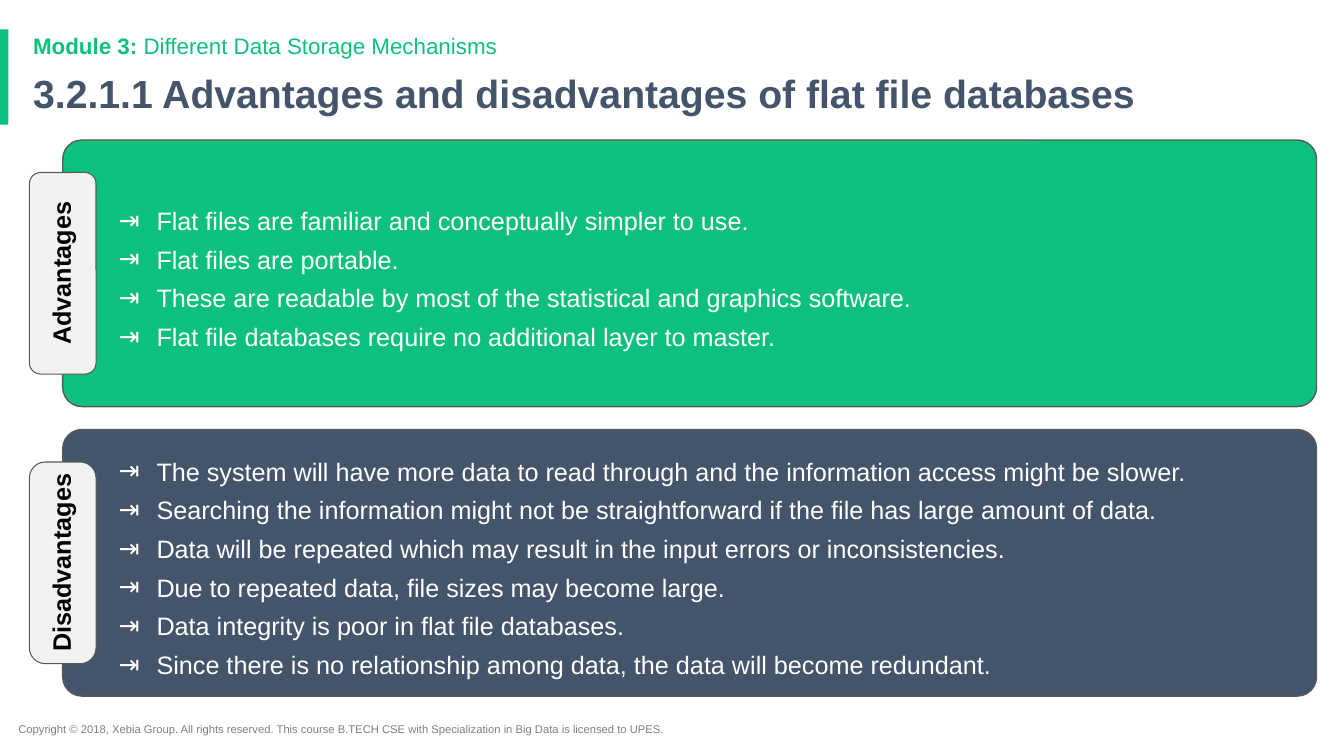
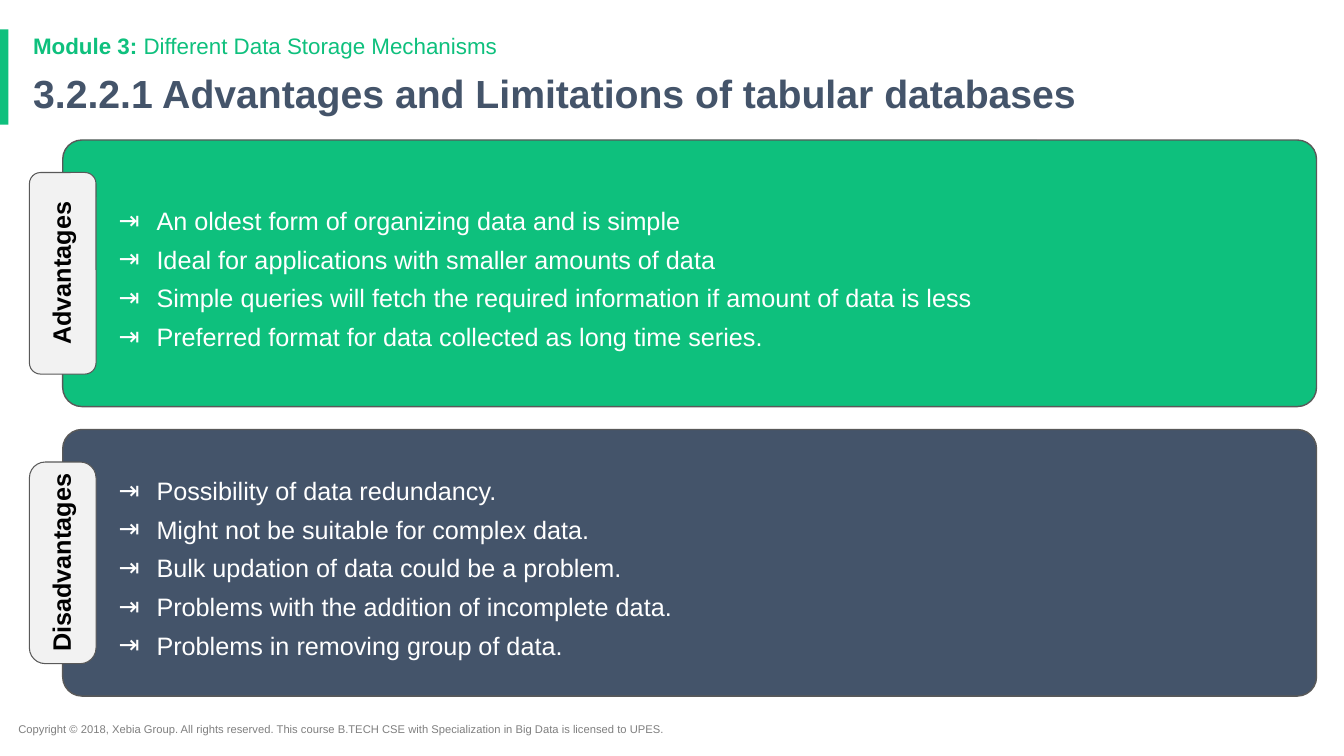
from dataclasses import dataclass

from lxml import etree
from pptx import Presentation
from pptx.dml.color import RGBColor
from pptx.enum import shapes, text
from pptx.oxml import ns
from pptx.util import Pt

GREEN = RGBColor(0x0E, 0xC0, 0x7D)
SLATE = RGBColor(0x44, 0x54, 0x6A)
WHITE = RGBColor(0xFF, 0xFF, 0xFF)
BLACK = RGBColor(0x00, 0x00, 0x00)
PALE = RGBColor(0xF2, 0xF2, 0xF2)
OUTLINE = RGBColor(0x59, 0x59, 0x59)
GREY = RGBColor(0x7F, 0x7F, 0x7F)

FONT = "Arial"
MODULE = ("Module 3:", " Different Data Storage Mechanisms")
COPYRIGHT = (
    "Copyright © 2018, Xebia Group. All rights reserved. "
    "This course B.TECH CSE with Specialization in Big Data is licensed to UPES."
)

PANEL_LEFT, PANEL_WIDTH, PANEL_HEIGHT = 44.8, 895.6, 190.4
TAB_LENGTH, TAB_DEPTH = 144, 47.6
BULLET_INDENT = 27


@dataclass(frozen=True)
class PanelStyle:
    label: str
    top: float
    fill: RGBColor
    tab_rounding: float


@dataclass(frozen=True)
class Topic:
    title: str
    advantages: tuple[str, ...]
    disadvantages: tuple[str, ...]


ADVANTAGES = PanelStyle("Advantages", 100, GREEN, 0.167)
DISADVANTAGES = PanelStyle("Disadvantages", 306.8, SLATE, 0.237)

TOPICS = (
    Topic(
        "3.2.1.1 Advantages and disadvantages of flat file databases",
        (
            "Flat files are familiar and conceptually simpler to use.",
            "Flat files are portable.",
            "These are readable by most of the statistical and graphics software.",
            "Flat file databases require no additional layer to master.",
        ),
        (
            "The system will have more data to read through and the information access might be slower.",
            "Searching the information might not be straightforward if the file has large amount of data.",
            "Data will be repeated which may result in the input errors or inconsistencies.",
            "Due to repeated data, file sizes may become large.",
            "Data integrity is poor in flat file databases.",
            "Since there is no relationship among data, the data will become redundant.",
        ),
    ),
    Topic(
        "3.2.2.1 Advantages and Limitations of tabular databases",
        (
            "An oldest form of organizing data and is simple",
            "Ideal for applications with smaller amounts of data",
            "Simple queries will fetch the required information if amount of data is less",
            "Preferred format for data collected as long time series.",
        ),
        (
            "Possibility of data redundancy.",
            "Might not be suitable for complex data.",
            "Bulk updation of data could be a problem.",
            "Problems with the addition of incomplete data.",
            "Problems in removing group of data.",
        ),
    ),
)


def set_font(paragraph, size: float, color: RGBColor, bold: bool = False) -> None:
    font = paragraph.font
    font.name, font.size, font.bold = FONT, Pt(size), bold
    font.color.rgb = color


def set_margins(frame, left: float, top: float, right: float, bottom: float) -> None:
    frame.margin_left, frame.margin_top = Pt(left), Pt(top)
    frame.margin_right, frame.margin_bottom = Pt(right), Pt(bottom)


def add_text_line(slide, left: float, top: float, width: float, height: float):
    """Add a wrapping text box and return its first paragraph."""
    box = slide.shapes.add_textbox(Pt(left), Pt(top), Pt(width), Pt(height))
    box.text_frame.word_wrap = True
    set_margins(box.text_frame, 7.2, 3.6, 7.2, 3.6)
    return box.text_frame.paragraphs[0]


def add_rounded(slide, left: float, top: float, width: float, height: float,
                rounding: float, fill: RGBColor, line_width: float):
    """Add an outlined rounded rectangle with vertically centred text."""
    box = slide.shapes.add_shape(
        shapes.MSO_SHAPE.ROUNDED_RECTANGLE, Pt(left), Pt(top), Pt(width), Pt(height))
    box.adjustments[0] = rounding
    box.shadow.inherit = False
    box.fill.solid()
    box.fill.fore_color.rgb = fill
    box.line.color.rgb = OUTLINE
    box.line.width = Pt(line_width)
    box.text_frame.word_wrap = True
    box.text_frame.vertical_anchor = text.MSO_ANCHOR.MIDDLE
    return box


def add_bullet(paragraph) -> None:
    properties = paragraph._p.get_or_add_pPr()
    properties.set("marL", str(Pt(BULLET_INDENT)))
    properties.set("indent", str(-Pt(BULLET_INDENT)))
    color = etree.SubElement(properties, ns.qn("a:buClr"))
    etree.SubElement(color, ns.qn("a:srgbClr"), val=str(WHITE))
    etree.SubElement(properties, ns.qn("a:buFont"), typeface=FONT)
    etree.SubElement(properties, ns.qn("a:buChar"), char="⇥")


def add_panel(slide, style: PanelStyle, points: tuple[str, ...]) -> None:
    """Draw a bulleted panel with its label tab centred on the left edge."""
    panel = add_rounded(slide, PANEL_LEFT, style.top, PANEL_WIDTH, PANEL_HEIGHT,
                        0.072, style.fill, 1)
    frame = panel.text_frame
    set_margins(frame, 36, 14.4, 7.2, 7.2)
    for index, point in enumerate(points):
        paragraph = frame.add_paragraph() if index else frame.paragraphs[0]
        paragraph.text = point
        paragraph.alignment = text.PP_ALIGN.LEFT
        add_bullet(paragraph)
        if index:
            paragraph.space_before = Pt(6)
        set_font(paragraph, 18, WHITE)
    paragraph.space_after = Pt(6)

    tab = add_rounded(slide, PANEL_LEFT - TAB_LENGTH / 2,
                      style.top + (PANEL_HEIGHT - TAB_DEPTH) / 2,
                      TAB_LENGTH, TAB_DEPTH, style.tab_rounding, PALE, 0.75)
    tab.rotation = 270
    set_margins(tab.text_frame, 0, 0, 0, 0)
    label = tab.text_frame.paragraphs[0]
    label.text = style.label
    label.alignment = text.PP_ALIGN.CENTER
    label.line_spacing = 0.9
    set_font(label, 18, BLACK, bold=True)


def add_frame(slide, title: str) -> None:
    """Draw the accent bar, copyright line, title and module line."""
    accent = slide.shapes.add_shape(
        shapes.MSO_SHAPE.RECTANGLE, Pt(0), Pt(21), Pt(6), Pt(68))
    accent.shadow.inherit = False
    accent.fill.solid()
    accent.fill.fore_color.rgb = GREEN
    accent.line.fill.background()

    footer = add_text_line(slide, 6, 512.6, 513.4, 17)
    footer.text = COPYRIGHT
    set_font(footer, 8, GREY)

    heading = add_text_line(slide, 16.6, 49.7, 828, 39)
    heading.text = title
    heading.line_spacing = 0.9
    set_font(heading, 28, SLATE, bold=True)

    module = add_text_line(slide, 16.6, 21.6, 828, 24)
    module.line_spacing = 0.9
    set_font(module, 16, GREEN)
    for part, bold in zip(MODULE, (True, False)):
        run = module.add_run()
        run.text = part
        run.font.bold = bold


def main() -> None:
    deck = Presentation()
    deck.slide_width, deck.slide_height = Pt(960), Pt(540)
    blank = deck.slide_layouts[6]
    for topic in TOPICS:
        slide = deck.slides.add_slide(blank)
        add_frame(slide, topic.title)
        add_panel(slide, ADVANTAGES, topic.advantages)
        add_panel(slide, DISADVANTAGES, topic.disadvantages)
    deck.save("out.pptx")


if __name__ == "__main__":
    main()
